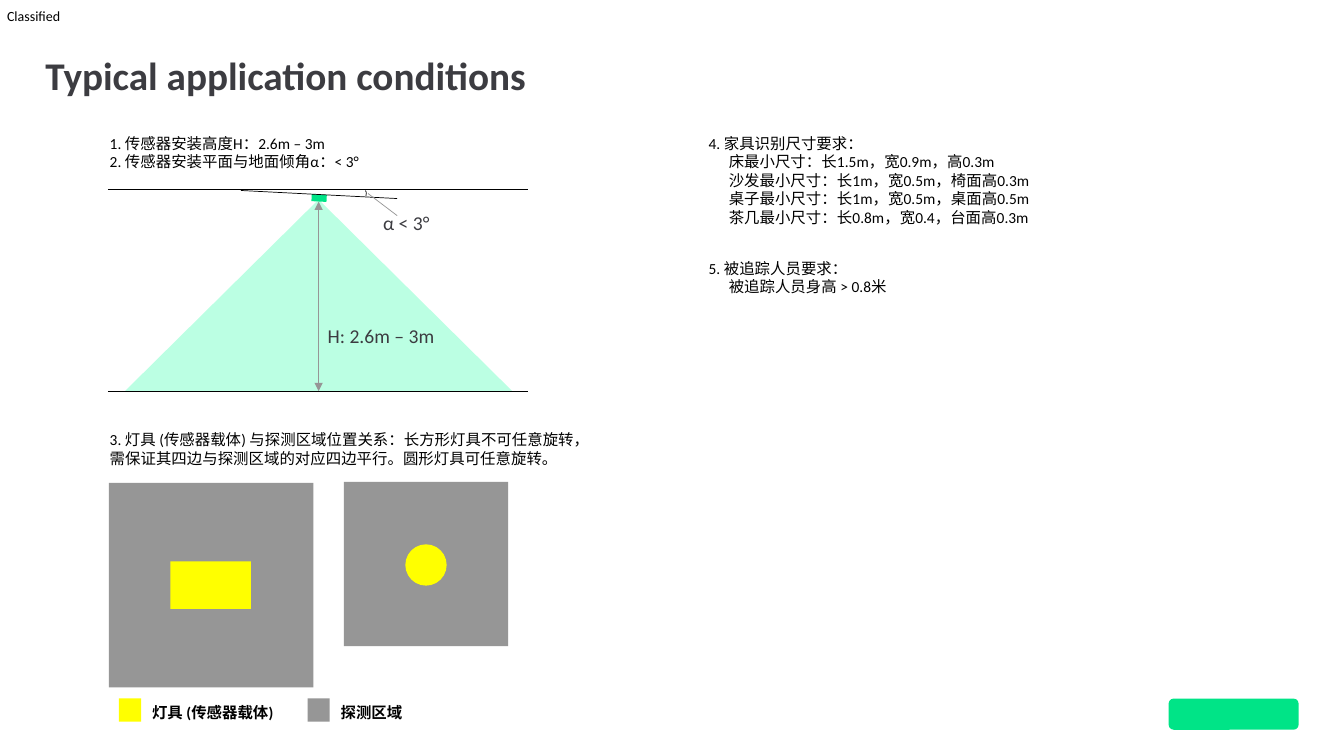
from dataclasses import dataclass
from typing import Optional

from lxml.etree import SubElement
from pptx import Presentation
from pptx.dml.color import RGBColor
from pptx.enum.shapes import MSO_CONNECTOR, MSO_SHAPE
from pptx.enum.text import MSO_ANCHOR, MSO_AUTO_SIZE, PP_ALIGN
from pptx.oxml.ns import qn
from pptx.util import Inches, Pt

BLACK, CHARCOAL, GREY = "000000", "3C3C41", "969696"
GREEN, MINT, YELLOW = "00E487", "8EFFD1", "FFFF00"


@dataclass
class Area:
    kind: MSO_SHAPE
    left: float
    top: float
    width: float
    height: float
    fill: Optional[str] = None
    outline: Optional[str] = None
    rotation: float = 0
    opacity: int = 100


@dataclass
class Rule:
    start: tuple[float, float]
    end: tuple[float, float]
    color: str = BLACK
    arrows: bool = False


@dataclass
class Note:
    left: float
    top: float
    width: float
    height: float
    lines: list[str]


def paint(color_owner, color: str) -> None:
    """Give a fill or a font a solid hex colour."""
    if hasattr(color_owner, "solid"):
        color_owner.solid()
        color_owner.fore_color.rgb = RGBColor.from_string(color)
    else:
        color_owner.color.rgb = RGBColor.from_string(color)


def write(frame, lines: list[str], *, size: float = 11, color: str = BLACK,
          bold: bool = False, inset: bool = True, hanging: float = 0,
          spacing: float = 1, wrap: bool = True) -> None:
    """Fill a text frame; lines after the first start at the hanging indent."""
    frame.word_wrap = wrap
    frame.auto_size = MSO_AUTO_SIZE.NONE
    frame.vertical_anchor = MSO_ANCHOR.TOP
    if not inset:
        frame.margin_left = frame.margin_right = 0
        frame.margin_top = frame.margin_bottom = 0
    for index, line in enumerate(lines):
        paragraph = frame.paragraphs[0] if index == 0 else frame.add_paragraph()
        paragraph.alignment = PP_ALIGN.LEFT
        paragraph.line_spacing = spacing
        if index and hanging:
            properties = paragraph._p.get_or_add_pPr()
            properties.set("marL", str(Inches(hanging)))
            properties.set("indent", "0")
        run = paragraph.add_run()
        run.text = line
        run.font.name = "Calibri"
        run.font.size = Pt(size)
        run.font.bold = bold
        paint(run.font, color)


def add_note(slide, note: Note, **text_format) -> None:
    box = slide.shapes.add_textbox(*map(Inches, (note.left, note.top, note.width, note.height)))
    write(box.text_frame, note.lines, **text_format)


def add_area(slide, area: Area) -> None:
    shape = slide.shapes.add_shape(
        area.kind, *map(Inches, (area.left, area.top, area.width, area.height)))
    shape.shadow.inherit = False
    shape.rotation = area.rotation
    if area.fill:
        paint(shape.fill, area.fill)
        if area.opacity < 100:
            color = shape._element.spPr.find(qn("a:solidFill"))[0]
            SubElement(color, qn("a:alpha"), val=str(area.opacity * 1000))
    else:
        shape.fill.background()
    if area.outline:
        paint(shape.line.fill, area.outline)
        shape.line.width = Pt(0.5)
    else:
        shape.line.fill.background()


def add_rule(slide, rule: Rule) -> None:
    connector = slide.shapes.add_connector(
        MSO_CONNECTOR.STRAIGHT, *map(Inches, rule.start + rule.end))
    paint(connector.line.fill, rule.color)
    connector.line.width = Pt(0.5)
    if rule.arrows:
        outline = connector.line._get_or_add_ln()
        for end in ("a:headEnd", "a:tailEnd"):
            SubElement(outline, qn(end), type="triangle")
    SubElement(connector._element.spPr, qn("a:effectLst"))


BRAND_MARK = Area(MSO_SHAPE.ROUNDED_RECTANGLE, 11.59, 6.93, 1.29, 0.31, GREEN)
SENSOR_AREAS = [
    Area(MSO_SHAPE.ISOSCELES_TRIANGLE, 1.24, 1.98, 3.84, 1.9, MINT, opacity=60),
    Area(MSO_SHAPE.RECTANGLE, 3.09, 1.93, 0.15, 0.07, GREEN, rotation=3),
    Area(MSO_SHAPE.ARC, 3.59, 1.89, 0.04, 0.1, outline=BLACK, rotation=15.4),
]
SENSOR_RULES = [
    Rule((1.07, 3.88), (5.24, 3.88)),
    Rule((3.16, 2), (3.16, 3.88), GREY, arrows=True),
    Rule((2.39, 1.89), (3.94, 1.97)),
    Rule((1.07, 1.88), (5.24, 1.88)),
    Rule((3.94, 2.14), (3.65, 1.92), GREY),
]
LUMINAIRE_AREAS = [
    Area(MSO_SHAPE.RECTANGLE, 1.08, 4.79, 2.03, 2.03, GREY),
    Area(MSO_SHAPE.RECTANGLE, 1.69, 5.57, 0.8, 0.47, YELLOW),
    Area(MSO_SHAPE.RECTANGLE, 3.41, 4.78, 1.63, 1.63, GREY),
    Area(MSO_SHAPE.OVAL, 4.02, 5.4, 0.41, 0.41, YELLOW),
]
LEGEND = [(1.18, YELLOW, "灯具 (传感器载体)"), (3.05, GREY, "探测区域")]
DIMENSIONS = [
    Note(3.25, 3.24, 1.8, 0.36, ["H: 2.6m – 3m"]),
    Note(3.8, 2.12, 1.8, 0.36, ["α < 3°"]),
]
INSTALLATION_NOTES = [
    Note(0.99, 1.28, 3.97, 0.47,
         ["1. 传感器安装高度H：2.6m – 3m", "2. 传感器安装平面与地面倾角α：< 3°"]),
    Note(0.99, 4.22, 4.84, 0.47,
         ["3. 灯具 (传感器载体) 与探测区域位置关系：长方形灯具不可任意旋转，"
          "需保证其四边与探测区域的对应四边平行。圆形灯具可任意旋转。"]),
]
DETECTION_NOTES = [
    Note(6.93, 1.28, 3.97, 1.21,
         ["4. 家具识别尺寸要求：",
          "床最小尺寸：长1.5m，宽0.9m，高0.3m",
          "沙发最小尺寸：长1m，宽0.5m，椅面高0.3m",
          "桌子最小尺寸：长1m，宽0.5m，桌面高0.5m",
          "茶几最小尺寸：长0.8m，宽0.4，台面高0.3m"]),
    Note(6.93, 2.52, 3.97, 0.47, ["5. 被追踪人员要求：", "被追踪人员身高 > 0.8米"]),
]


def main() -> None:
    deck = Presentation()
    deck.slide_width, deck.slide_height = Inches(13.33), Inches(7.5)
    slide = deck.slides.add_slide(deck.slide_layouts[5])

    title = slide.shapes.title
    title.left, title.top = Inches(0.45), Inches(0.56)
    title.width, title.height = Inches(12.43), Inches(0.85)
    write(title.text_frame, ["Typical application conditions"],
          size=28, color=CHARCOAL, bold=True, inset=False, spacing=0.9)
    add_note(slide, Note(0.07, 0.07, 0.56, 0.17, ["Classified"]),
             size=10, inset=False, wrap=False)

    for area in [BRAND_MARK, *SENSOR_AREAS, *LUMINAIRE_AREAS]:
        add_area(slide, area)
    for rule in SENSOR_RULES:
        add_rule(slide, rule)
    for left, color, label in LEGEND:
        add_area(slide, Area(MSO_SHAPE.RECTANGLE, left, 6.93, 0.22, 0.23, color))
        add_note(slide, Note(left + 0.23, 6.93, 1.7, 0.23, [label]), bold=True)

    for dimension in DIMENSIONS:
        add_note(slide, dimension, size=14, color=CHARCOAL, inset=False, spacing=0.9)
    for note in INSTALLATION_NOTES:
        add_note(slide, note)
    for note in DETECTION_NOTES:
        add_note(slide, note, hanging=0.2)

    deck.save("out.pptx")


if __name__ == "__main__":
    main()
